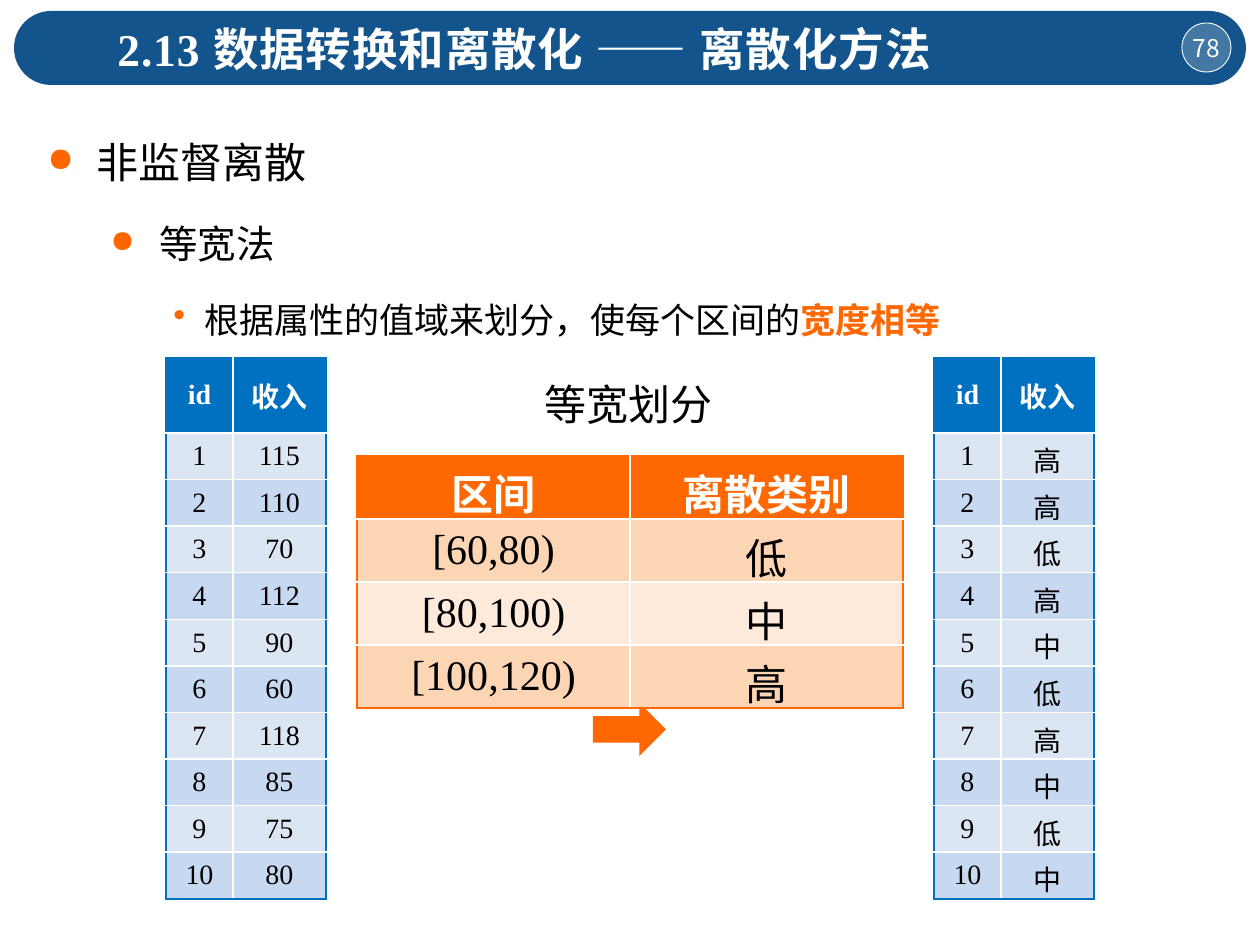
from lxml.etree import SubElement
from pptx import Presentation
from pptx.dml.color import RGBColor
from pptx.enum.shapes import MSO_SHAPE
from pptx.enum.text import MSO_ANCHOR, MSO_AUTO_SIZE, PP_ALIGN
from pptx.oxml.ns import qn
from pptx.util import Pt

PX = 7257
SERIF = "Times New Roman"
HUE = {
    "navy": "13548C", "blue": "0070C0", "pale": "DCE6F2", "sky": "C6D9F1",
    "orange": "FF6700", "dot": "FF6600", "peach": "FCD5B5", "cream": "FDEADA",
    "white": "FFFFFF", "black": "000000",
}


def write(para, text, size, hue, bold=False, align=None, face=SERIF):
    run = para.add_run()
    run.text = text
    para.alignment = align
    font = para.font
    font.size, font.name, font.bold = Pt(size), face, bold
    font.color.rgb = RGBColor.from_string(HUE[hue])
    return run


def box(*spot):
    frame = slide.shapes.add_textbox(*[n * PX for n in spot]).text_frame
    frame.word_wrap = True
    frame.auto_size = MSO_AUTO_SIZE.SHAPE_TO_FIT_TEXT
    return frame


deck = Presentation()
deck.slide_width, deck.slide_height = 1260 * PX, 945 * PX
slide = deck.slides.add_slide(deck.slide_layouts[6])

forms = []
for kind, spot, hue in [
    (MSO_SHAPE.ROUNDED_RECTANGLE, (14, 11, 1232, 74), "navy"),
    (MSO_SHAPE.OVAL, (1182, 23, 49, 49), "white"),
    (MSO_SHAPE.RIGHT_ARROW, (593, 703, 73, 53), "orange"),
]:
    form = slide.shapes.add_shape(kind, *[n * PX for n in spot])
    form.shadow.inherit = False
    form.fill.solid()
    form.fill.fore_color.rgb = RGBColor.from_string(HUE[hue])
    form.line.fill.background()
    forms.append(form)
bar, badge, arrow = forms
bar.adjustments[0] = 0.5

tint = badge.fill._xPr.find(qn("a:solidFill"))[0]
SubElement(tint, qn("a:alpha")).set("val", "21000")
badge.line.color.rgb = RGBColor.from_string(HUE["white"])
badge.line.width = Pt(0.5)
frame = badge.text_frame
frame.word_wrap = False
frame.vertical_anchor = MSO_ANCHOR.MIDDLE
frame.margin_left = frame.margin_right = frame.margin_top = frame.margin_bottom = 0
write(frame.paragraphs[0], "78", 14, "white", align=PP_ALIGN.CENTER, face="Noto Sans CJK SC")

body = box(35, 105, 1191, 237)
for level, (text, size, left, hang, sign, hue) in enumerate([
    ("非监督离散", 24, 49, 49, "●", "dot"),
    ("等宽法", 22, 112, 49, "●", "dot"),
    ("根据属性的值域来划分，使每个区间的", 20, 157, 31, "•", "orange"),
]):
    para = body.add_paragraph() if level else body.paragraphs[0]
    para.level = level
    para.line_spacing = 1.5
    para.space_before = Pt(6 if level else 0)
    prop = para._p.get_or_add_pPr()
    prop.set("marL", str(left * PX))
    prop.set("indent", str(-hang * PX))
    SubElement(SubElement(prop, qn("a:buClr")), qn("a:srgbClr")).set("val", HUE[hue])
    if level < 2:
        SubElement(prop, qn("a:buSzPct")).set("val", "80000")
    SubElement(prop, qn("a:buChar")).set("char", sign)
    write(para, text, size, "black", align=PP_ALIGN.JUSTIFY if level < 2 else None)
key = para.add_run()
key.text = "宽度相等"
key.font.bold = True
key.font.color.rgb = RGBColor.from_string(HUE["orange"])

pay = [115, 110, 70, 112, 90, 60, 118, 85, 75, 80]
bins = [("[60,80)", "低"), ("[80,100)", "中"), ("[100,120)", "高")]
rank = [bins[(n - 60) // 20][1] for n in pay]
head = ("id", "收入")
cool = ("blue", "pale", "sky")
warm = ("orange", "peach", "cream")
MID, LOW = MSO_ANCHOR.MIDDLE, MSO_ANCHOR.BOTTOM

for rows, spot, cols, top, size, hues, hang, last in [
    ([head, *enumerate(pay, 1)], (166, 358, 160, 541), (67, 93), 75, 16, cool, 48, MID),
    ([("区间", "离散类别"), *bins], (357, 456, 546, 204), (273, 273), 51, 24, warm, 0, MID),
    ([head, *enumerate(rank, 1)], (934, 358, 160, 541), (67, 93), 75, 16, cool, 48, LOW),
]:
    grid = slide.shapes.add_table(len(rows), 2, *[n * PX for n in spot]).table
    for col, wide in zip(grid.columns, cols):
        col.width = wide * PX
    for r, row in enumerate(rows):
        grid.rows[r].height = (spot[3] - top) * PX // (len(rows) - 1) if r else top * PX
        for c, text in enumerate(row):
            cell = grid.cell(r, c)
            cell.vertical_anchor = last if r and c else MID
            prop = cell._tc.get_or_add_tcPr()
            edges = {"L": c == 0, "R": c == 1, "T": r == 0, "B": r == len(rows) - 1}
            for side, rim in edges.items():
                line = SubElement(prop, qn("a:ln" + side), w=str(Pt(1)))
                fill = SubElement(line, qn("a:solidFill"))
                SubElement(fill, qn("a:srgbClr")).set("val", HUE[hues[0] if rim else "white"])
            cell.fill.solid()
            band = hues[2 - r % 2] if r else hues[0]
            cell.fill.fore_color.rgb = RGBColor.from_string(HUE[band])
            para = cell.text_frame.paragraphs[0]
            if hang:
                prop = para._p.get_or_add_pPr()
                prop.set("marL", str(hang * PX))
                prop.set("indent", str(-hang * PX))
            write(para, str(text), size, "black" if r else "white", r == 0, PP_ALIGN.CENTER)

label = box(515, 372, 228, 63)
write(label.paragraphs[0], "等宽划分", 24, "black", align=PP_ALIGN.CENTER)

title = box(105, 15, 1018, 68)
run = write(title.paragraphs[0], "2.13 数据转换和离散化 —— 离散化方法", 26, "white", True)
run._r.get_or_add_rPr().set("spc", "50")

deck.save("out.pptx")
